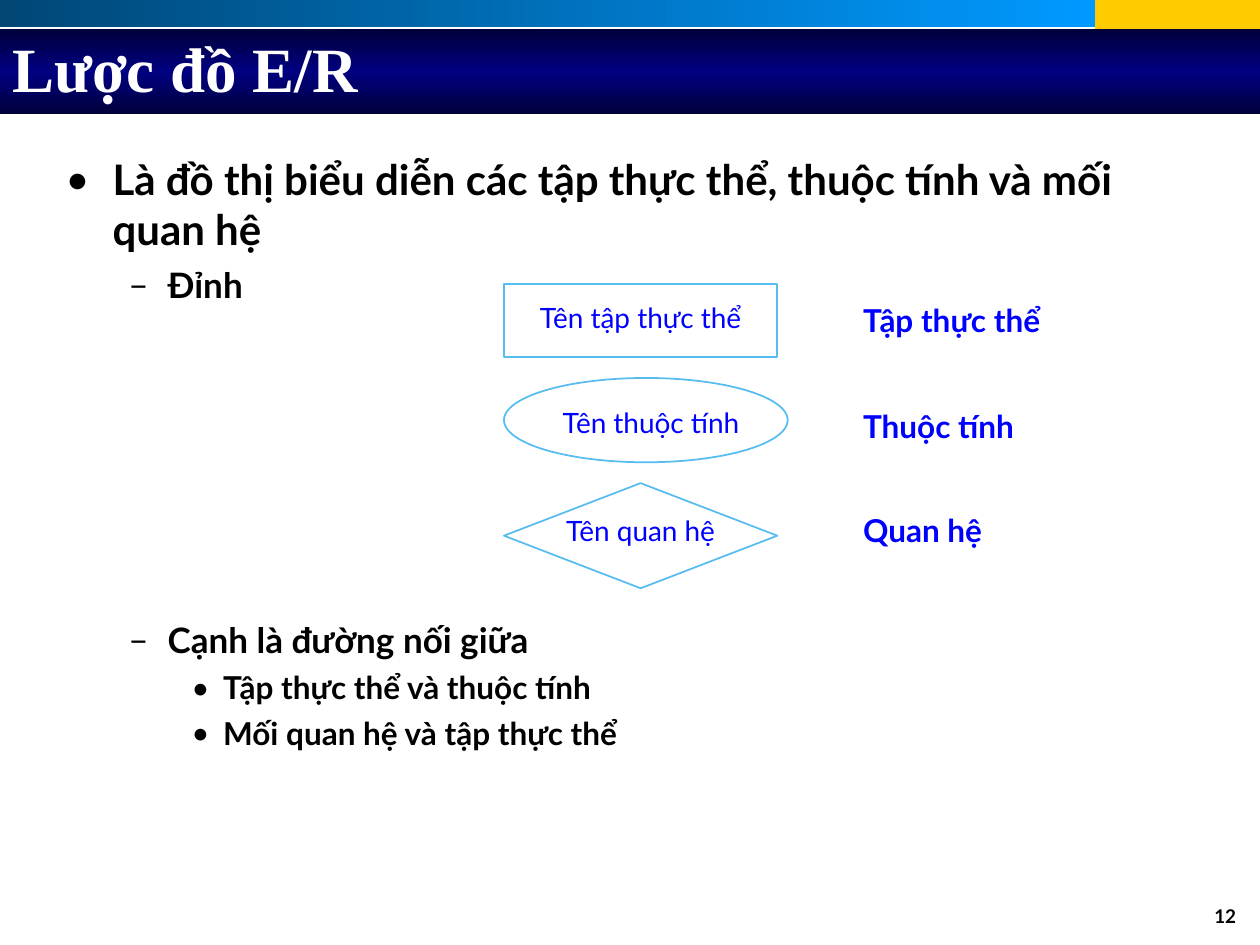
from dataclasses import dataclass

from lxml import etree
from pptx import Presentation
from pptx import util as u
from pptx.dml.color import RGBColor
from pptx.enum import shapes, text
from pptx.oxml import ns


@dataclass(frozen=True)
class Theme:
    body_font: str = "Lato"
    title_font: str = "Times New Roman"
    ink: str = "000000"
    white: str = "FFFFFF"
    label: str = "0000FF"
    outline: str = "57BCEF"
    accent: str = "FFCC00"
    strip: tuple = ("004776", "0099FF")
    banner: tuple = ("00003B", "000080", "00003B")
    title_size: float = 36
    levels: tuple = (24, 20, 18)
    symbol_size: float = 16
    number_size: float = 10.8


@dataclass(frozen=True)
class Box:
    left: float
    top: float
    width: float
    height: float

    def inner(self, left, top, width, height):
        return Box(self.left + left, self.top + top, width, height)

    def lengths(self):
        return [u.Cm(n) for n in (self.left, self.top, self.width, self.height)]


THEME = Theme()
ALIGN = text.PP_ALIGN
SHAPE = shapes.MSO_SHAPE


def add_child(parent, tag, **attributes):
    return etree.SubElement(parent, ns.qn(tag), **attributes)


def add_figure(slide, box, kind=SHAPE.RECTANGLE, fill=None, line=None):
    figure = slide.shapes.add_shape(kind, *box.lengths())
    figure.shadow.inherit = False
    if fill:
        figure.fill.solid()
        figure.fill.fore_color.rgb = RGBColor.from_string(fill)
    else:
        figure.fill.background()
    if line:
        figure.line.color.rgb = RGBColor.from_string(line)
        figure.line.width = u.Pt(1)
    else:
        figure.line.fill.background()
    return figure


def add_gradient(slide, box, colors, angle):
    bar = add_figure(slide, box)
    bar.fill.gradient()
    gradient = bar._element.spPr.find(ns.qn("a:gradFill"))
    for child in list(gradient):
        gradient.remove(child)
    stops = add_child(gradient, "a:gsLst")
    for index, color in enumerate(colors):
        position = 100000 * index // (len(colors) - 1)
        stop = add_child(stops, "a:gs", pos=str(position))
        add_child(stop, "a:srgbClr", val=color)
    add_child(gradient, "a:lin", ang=str(angle * 60000), scaled="0")


def add_frame(slide, box, anchor=text.MSO_ANCHOR.TOP):
    frame = slide.shapes.add_textbox(*box.lengths()).text_frame
    frame.word_wrap = True
    frame.vertical_anchor = anchor
    return frame


def write(paragraph, words, size, color=THEME.ink, font=THEME.body_font,
          bold=True, align=ALIGN.LEFT, before=0, spacing=None):
    paragraph.text = words
    paragraph.alignment = align
    if before:
        paragraph.space_before = u.Pt(before)
    if spacing:
        paragraph.line_spacing = spacing
    paragraph.font.size = u.Pt(size)
    paragraph.font.name = font
    paragraph.font.bold = bold
    paragraph.font.color.rgb = RGBColor.from_string(color)


def set_bullet(paragraph, mark, margin, hanging):
    properties = paragraph._p.get_or_add_pPr()
    properties.set("marL", str(u.Cm(margin)))
    properties.set("indent", str(-u.Cm(hanging)))
    add_child(properties, "a:buFont", typeface=THEME.body_font)
    add_child(properties, "a:buChar", char=mark)


def draw_header(slide, box):
    strip_width = 22.07
    add_figure(slide, box.inner(strip_width, 0, box.width - strip_width, 0.7),
               fill=THEME.accent)
    add_gradient(slide, box.inner(0, 0, strip_width, 0.55), THEME.strip, 0)
    add_gradient(slide, box.inner(0, 0.58, box.width, 1.73), THEME.banner, 90)
    title = add_frame(slide, box.inner(0, 0.61, 24.13, 1.5), text.MSO_ANCHOR.MIDDLE)
    write(title.paragraphs[0], "Lược đồ E/R", THEME.title_size,
          THEME.white, THEME.title_font)


def draw_outline(slide, box):
    bullets = (("•", 0.95, 0.95), ("–", 2.06, 0.79), ("•", 3.18, 0.64))
    symbol_gap = 179
    points = (
        (0, 0, "Là đồ thị biểu diễn các tập thực thể, thuộc tính và mối quan hệ"),
        (1, 5, "Đỉnh"),
        (1, symbol_gap, "Cạnh là đường nối giữa"),
        (2, 4.5, "Tập thực thể và thuộc tính"),
        (2, 4.5, "Mối quan hệ và tập thực thể"),
    )
    frame = add_frame(slide, box)
    for index, (level, before, words) in enumerate(points):
        paragraph = frame.add_paragraph() if index else frame.paragraphs[0]
        paragraph.level = level
        set_bullet(paragraph, *bullets[level])
        write(paragraph, words, THEME.levels[level], before=before)


def draw_symbols(slide, box):
    width = 5.51
    symbols = (
        (SHAPE.RECTANGLE, 0, width, 1.48, "Tên tập thực thể", 0, 0.22,
         "Tập thực thể", 0.22),
        (SHAPE.OVAL, 1.9, 5.72, 1.7, "Tên thuộc tính", 0.21, 2.33,
         "Thuộc tính", 2.37),
        (SHAPE.FLOWCHART_DECISION, 4.02, width, 2.12, "Tên quan hệ", 0, 4.5,
         "Quan hệ", 4.45),
    )
    for (kind, top, symbol_width, height, name, name_left, name_top,
         meaning, meaning_top) in symbols:
        add_figure(slide, box.inner(0, top, symbol_width, height), kind,
                   line=THEME.outline)
        name_frame = add_frame(slide, box.inner(name_left, name_top, width, 0.94))
        write(name_frame.paragraphs[0], name, THEME.symbol_size, THEME.label,
              bold=False, align=ALIGN.CENTER)
        meaning_frame = add_frame(slide, box.inner(6.99, meaning_top, 5.28, 1.02))
        write(meaning_frame.paragraphs[0], meaning, THEME.levels[2], THEME.label)


def draw_page_number(slide, box):
    write(add_frame(slide, box).paragraphs[0], "12", THEME.number_size,
          align=ALIGN.RIGHT, spacing=0.8)


def main():
    deck = Presentation()
    deck.slide_width, deck.slide_height = u.Cm(25.4), u.Cm(19.05)
    slide = deck.slides.add_slide(deck.slide_layouts[6])
    draw_header(slide, Box(0, 0, 25.4, 2.31))
    draw_page_number(slide, Box(19.25, 18.21, 5.92, 0.81))
    draw_outline(slide, Box(1.07, 2.97, 22.86, 14.17))
    draw_symbols(slide, Box(10.16, 5.72, 12.27, 6.14))
    deck.save("out.pptx")


if __name__ == "__main__":
    main()
